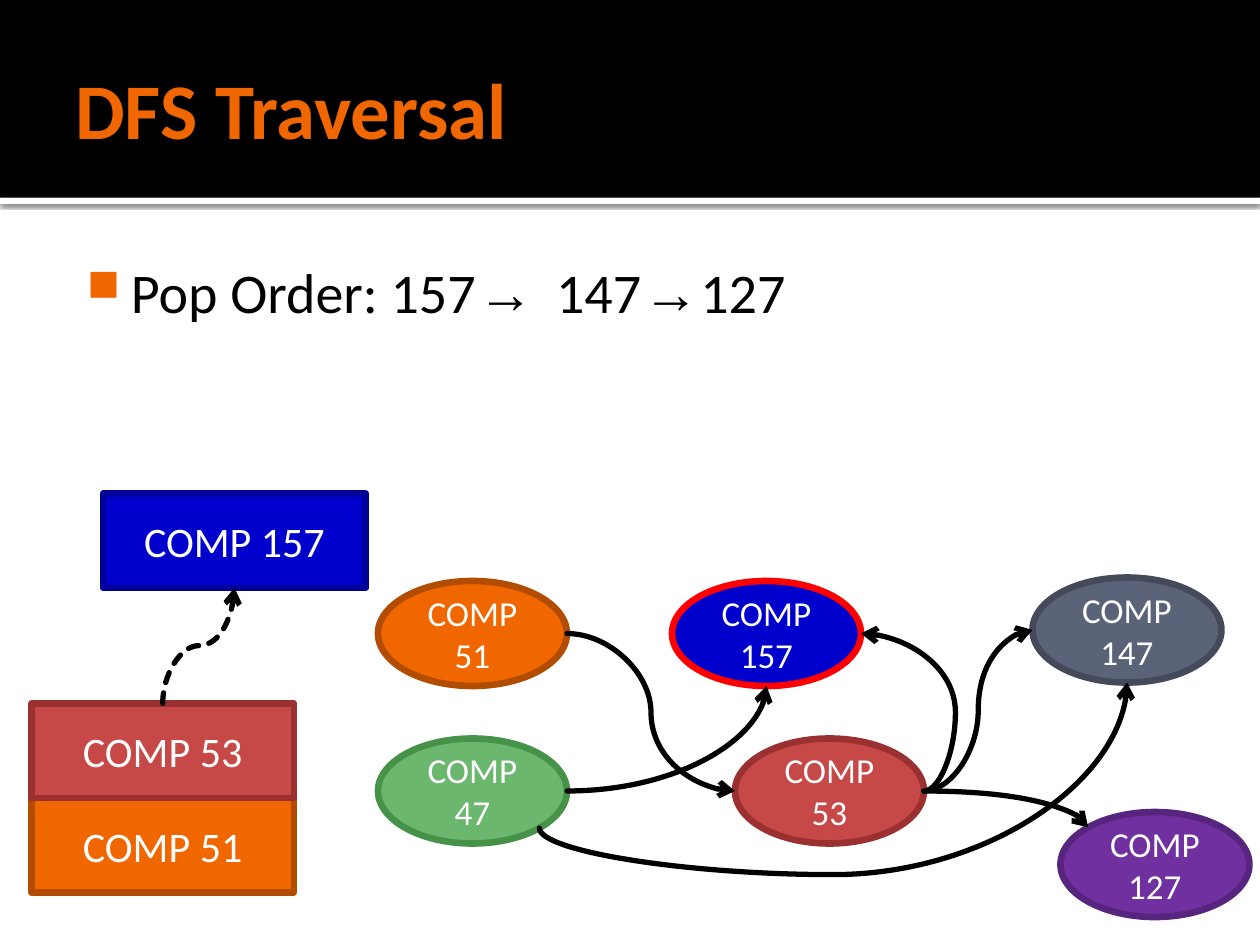
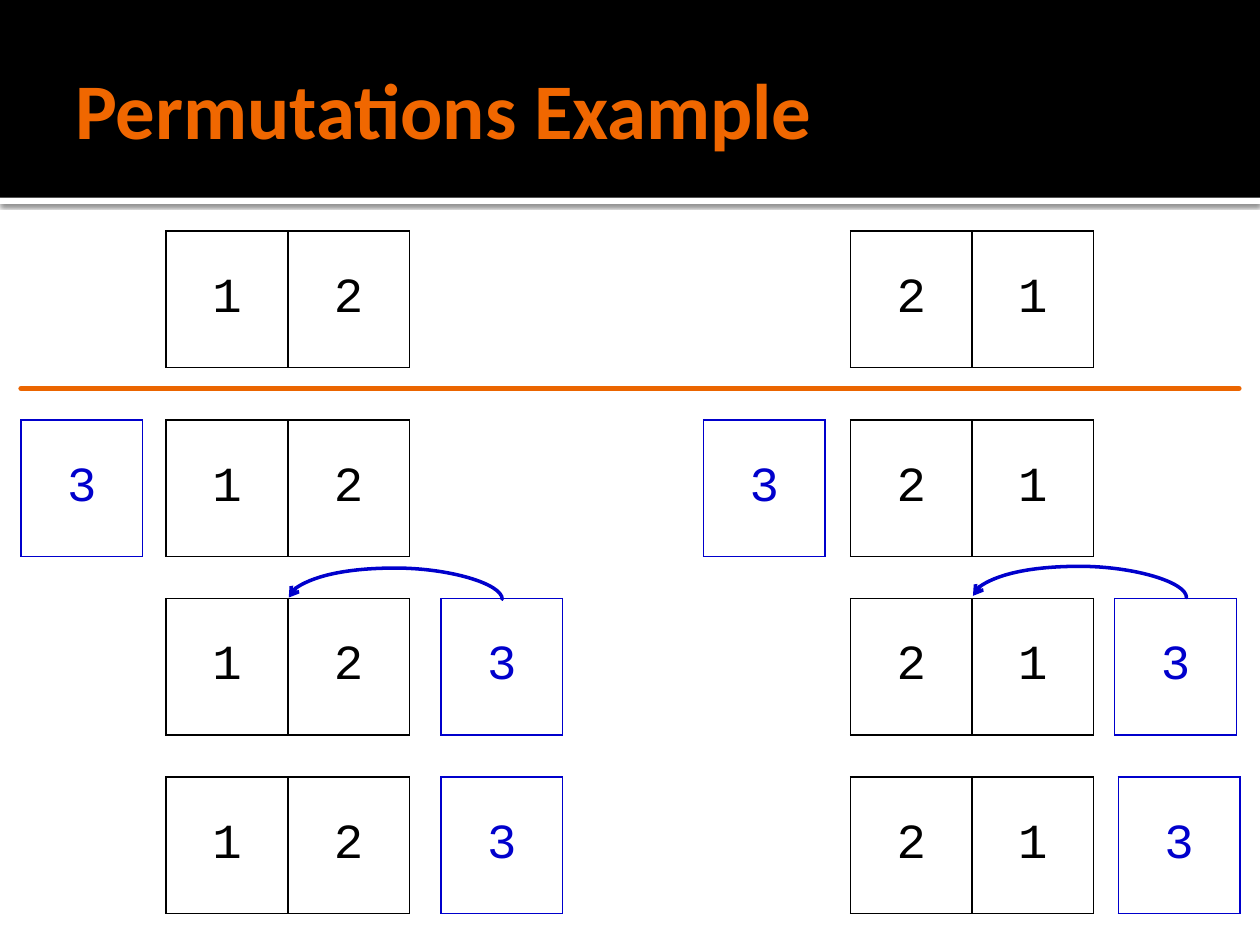
import math

from lxml import etree
from pptx import Presentation
from pptx import util as u
from pptx.dml.color import RGBColor
from pptx.enum import dml, shapes, text
from pptx.oxml import ns

Pt = u.Pt
WIDTH, HEIGHT = 720, 540
BLACK, WHITE, ORANGE, BLUE = "000000", "FFFFFF", "F06700", "0000CC"
BODY_FONT, CODE_FONT = "Calibri", "Courier New"
RECT, OVAL = shapes.MSO_SHAPE.RECTANGLE, shapes.MSO_SHAPE.OVAL

# course: (fill, line)
COURSES = {
    "51": (ORANGE, "B24C00"),
    "47": ("6BB76D", "479249"),
    "53": ("C64847", "9A3130"),
    "157": (BLUE, "000099"),
    "127": ("7030A0", "57257D"),
    "147": ("5A6378", "444A5A"),
}
NODES = {"51": (0, 2), "47": (0, 92), "53": (204, 92),
         "157": (168, 2), "127": (390, 134), "147": (374, 0)}
# from, site, to, site, preset, bend, turn; ellipse sites run
# counterclockwise from the top in steps of 45 degrees
EDGES = [
    ("51", 6, "53", 2, 3, 0.5, 0),
    ("53", 6, "127", 1, 2, None, 0),
    ("53", 6, "147", 2, 3, 0.5, 0),
    ("53", 6, "157", 6, 3, -0.5, 0),
    ("47", 6, "157", 4, 2, None, 0),
    ("47", 5, "147", 4, 3, -0.32, 90),
]


def rgb(color):
    return RGBColor.from_string(color)


def add_xml(parent, tag, **attrs):
    return etree.SubElement(parent, ns.qn(tag), attrs)


def style(font, size, color, name=BODY_FONT, bold=False):
    font.size, font.name, font.bold = Pt(size), name, bold
    font.color.rgb = rgb(color)


def add_box(slide, kind, box, fill, line=None, label="", size=20):
    sp = slide.shapes.add_shape(kind, *map(Pt, box))
    sp.shadow.inherit = False
    sp.fill.solid()
    sp.fill.fore_color.rgb = rgb(fill)
    if line:
        sp.line.color.rgb = rgb(line)
        sp.line.width = Pt(3.78)
    else:
        sp.line.fill.background()
    if label:
        tf = sp.text_frame
        tf.word_wrap = True
        tf.vertical_anchor = text.MSO_ANCHOR.MIDDLE
        p = tf.paragraphs[0]
        p.text = label
        p.alignment = text.PP_ALIGN.CENTER
        style(p.font, size, WHITE)
    return sp


def add_text_box(slide, box, insets):
    tf = slide.shapes.add_textbox(*map(Pt, box)).text_frame
    tf.word_wrap = True
    tf.margin_left, tf.margin_top, tf.margin_right, tf.margin_bottom = map(Pt, insets)
    return tf


def add_line(slide, kind, start, end, color, width):
    cxn = slide.shapes.add_connector(kind, *map(Pt, (*start, *end)))
    cxn.line.color.rgb = rgb(color)
    cxn.line.width = Pt(width)
    cxn.line._get_or_add_ln().set("cap", "rnd")
    add_xml(cxn._element.spPr, "a:effectLst")
    return cxn


def add_curve(slide, start, end, preset=3, bend=None, turn=0,
              color=BLACK, width=3, dashed=False):
    """Curved arrow; a turn of 90 or 270 makes it leave vertically."""
    (x1, y1), (x2, y2) = start, end
    if turn:
        mid_x, mid_y = (x1 + x2) / 2, (y1 + y2) / 2
        sign = 1 if turn == 90 else -1
        half_w, half_h = sign * (y2 - y1) / 2, sign * (x1 - x2) / 2
        start = mid_x - half_w, mid_y - half_h
        end = mid_x + half_w, mid_y + half_h
    cxn = add_line(slide, shapes.MSO_CONNECTOR.CURVE, start, end, color, width)
    spPr = cxn._element.spPr
    if turn:
        spPr.find(ns.qn("a:xfrm")).set("rot", str(turn * 60000))
    geom = spPr.find(ns.qn("a:prstGeom"))
    geom.set("prst", f"curvedConnector{preset}")
    if bend is not None:
        add_xml(geom.find(ns.qn("a:avLst")), "a:gd", name="adj1",
                fmla=f"val {round(bend * 100000)}")
    if dashed:
        cxn.line.dash_style = dml.MSO_LINE.SQUARE_DOT
    add_xml(cxn.line._get_or_add_ln(), "a:tailEnd", type="arrow")
    return cxn


def site_point(sp, site, count):
    """Point in pt of a connection site, counted counterclockwise from the top."""
    angle = 2 * math.pi * site / count
    return ((sp.left + sp.width / 2 * (1 - math.sin(angle))) / 12700,
            (sp.top + sp.height / 2 * (1 - math.cos(angle))) / 12700)


def join_curve(slide, tail, tail_site, head, head_site, count, **look):
    cxn = add_curve(slide, site_point(tail, tail_site, count),
                    site_point(head, head_site, count), **look)
    props = cxn._element.nvCxnSpPr.cNvCxnSpPr
    for tag, sp, site in (("a:stCxn", tail, tail_site), ("a:endCxn", head, head_site)):
        add_xml(props, tag, id=str(sp.shape_id), idx=str(site))


def add_titled_slide(prs, title):
    slide = prs.slides.add_slide(prs.slide_layouts[6])
    strip = add_box(slide, RECT, (0, 113, WIDTH, 3.6), WHITE)
    effects = strip._element.spPr.find(ns.qn("a:effectLst"))
    shadow = add_xml(effects, "a:outerShdw", blurRad=str(Pt(2.5)), dist=str(Pt(0.8)),
                     dir="5400000", algn="tl", rotWithShape="0")
    add_xml(add_xml(shadow, "a:srgbClr", val=BLACK), "a:alpha", val="60000")
    add_box(slide, RECT, (0, 0, WIDTH, 113), BLACK)
    tf = add_text_box(slide, (36, 12, 648, 99), (7.2, 3.6, 3.6, 3.6))
    tf.vertical_anchor = text.MSO_ANCHOR.MIDDLE
    p = tf.paragraphs[0]
    p.text = title
    style(p.font, 45, ORANGE, bold=True)
    return slide


def add_pop_order(slide, box):
    p = add_text_box(slide, box, (4.3, 7.2, 7.2, 3.6)).paragraphs[0]
    pPr = p._p.get_or_add_pPr()
    pPr.set("marL", str(Pt(34.5)))
    pPr.set("indent", str(Pt(-25.2)))
    add_xml(add_xml(pPr, "a:buClr"), "a:srgbClr", val=ORANGE)
    add_xml(pPr, "a:buSzPct", val="80000")
    add_xml(pPr, "a:buChar", char="■")
    for part in ("Pop Order: 157 ", "→ ", "147 ", "→", " 127"):
        r = p.add_run()
        r.text = part
        style(r.font, 32, BLACK, CODE_FONT if "→" in part else BODY_FONT)


def add_graph(slide, left, top):
    nodes = {}
    for course, (x, y) in NODES.items():
        fill, line = COURSES[course]
        if course == "157":
            line = "FF0000"
        nodes[course] = add_box(slide, OVAL, (left + x, top + y, 108, 60),
                                fill, line, f"COMP {course}")
    for tail, tail_site, head, head_site, preset, bend, turn in EDGES:
        join_curve(slide, nodes[tail], tail_site, nodes[head], head_site, 8,
                   preset=preset, bend=bend, turn=turn)


def add_stack(slide, left, top):
    cards = {}
    for course, x, y in (("51", 0, 174), ("53", 0, 120), ("157", 41, 0)):
        cards[course] = add_box(slide, RECT, (left + x, top + y, 150, 54),
                                *COURSES[course], f"COMP {course}", 24)
    join_curve(slide, cards["53"], 0, cards["157"], 2, 4, turn=90, dashed=True)


def add_cells(slide, left, top, digits, color=BLACK):
    """One-row table with a bordered cell for each digit."""
    cell_w, cell_h = 69.5, 78
    table = slide.shapes.add_table(1, len(digits), Pt(left), Pt(top),
                                   Pt(cell_w * len(digits)), Pt(cell_h)).table
    table.first_row = table.horz_banding = False
    for cell, digit in zip(table.iter_cells(), digits):
        tcPr = cell._tc.get_or_add_tcPr()
        for side in "LRTB":
            ln = add_xml(tcPr, f"a:ln{side}", w=str(Pt(1)))
            add_xml(add_xml(ln, "a:solidFill"), "a:srgbClr", val=color)
        cell.fill.background()
        cell.vertical_anchor = text.MSO_ANCHOR.MIDDLE
        p = cell.text_frame.paragraphs[0]
        p.alignment = text.PP_ALIGN.CENTER
        r = p.add_run()
        r.text = digit
        style(r.font, 28, color, CODE_FONT)


def add_insertions(slide, left, top, pair, three_lefts, arrow_top):
    """The pair on its own, then with a 3 put before, inside and after it."""
    add_cells(slide, left, top, pair)
    for row, three_left in enumerate(three_lefts):
        row_top = top + 108 + 102 * row
        add_cells(slide, left, row_top, pair)
        add_cells(slide, left + three_left, row_top, "3", BLUE)
    add_curve(slide, (left + 192, arrow_top + 1), (left + 70, arrow_top),
              bend=18, turn=270, color=BLUE, width=2)


def build_dfs(prs):
    slide = add_titled_slide(prs, "DFS Traversal")
    add_pop_order(slide, (36, 140, 648, 364))
    add_graph(slide, 216, 330)
    add_stack(slide, 18, 282)


def build_permutations(prs):
    slide = add_titled_slide(prs, "Permutations Example")
    add_insertions(slide, 95, 132, "12", (-83, 157, 157), 341.5)
    add_insertions(slide, 486, 132, "21", (-84, 151, 153), 340.5)
    add_line(slide, shapes.MSO_CONNECTOR.STRAIGHT, (12, 222), (708, 222), "EB6500", 3)


def main():
    prs = Presentation()
    prs.slide_width, prs.slide_height = Pt(WIDTH), Pt(HEIGHT)
    build_dfs(prs)
    build_permutations(prs)
    prs.save("out.pptx")


if __name__ == "__main__":
    main()
